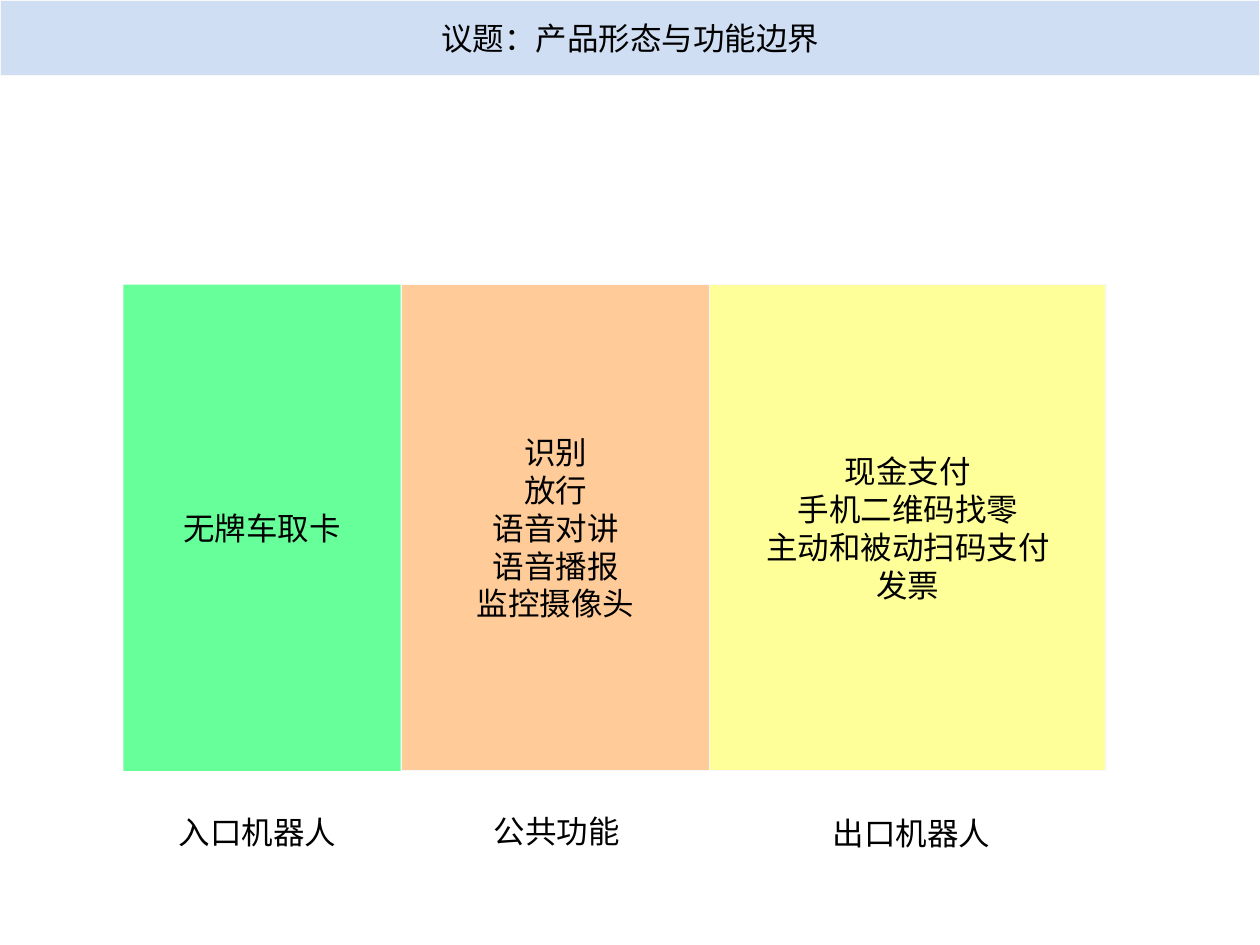
"""Build a slide on product forms and functional boundaries."""
import pptx
import pptx.dml.color
import pptx.enum.shapes
import pptx.enum.text
import pptx.util

Cm = pptx.util.Cm
RGBColor = pptx.dml.color.RGBColor
Align = pptx.enum.text.PP_ALIGN
Anchor = pptx.enum.text.MSO_ANCHOR
AutoSize = pptx.enum.text.MSO_AUTO_SIZE

BLACK = RGBColor(0x00, 0x00, 0x00)
BORDER = RGBColor(0xF8, 0xF8, 0xF8)
BLUE = RGBColor(0xCF, 0xDE, 0xF3)
GREEN = RGBColor(0x66, 0xFF, 0x99)
ORANGE = RGBColor(0xFF, 0xCC, 0x99)
YELLOW = RGBColor(0xFF, 0xFF, 0x99)

TITLE = "议题：产品形态与功能边界"
COLUMNS = [
    {"features": ["无牌车取卡"], "color": GREEN, "border": None,
     "left": 2.49, "width": 5.59,
     "label": "入口机器人", "label_at": (3.35, 16.26, 4.14)},
    {"features": ["识别", "放行", "语音对讲", "语音播报", "监控摄像头"],
     "color": ORANGE, "border": BORDER, "left": 8.1, "width": 6.2,
     "label": "公共功能", "label_at": (9.7, 16.23, 3.96)},
    {"features": ["现金支付", "手机二维码找零", "主动和被动扫码支付", "发票"],
     "color": YELLOW, "border": BORDER, "left": 14.3, "width": 8,
     "label": "出口机器人", "label_at": (16.54, 16.28, 4.14)},
]
COLUMN_TOP, COLUMN_HEIGHT, LABEL_HEIGHT = 5.74, 9.8, 1.02


def write(box, lines, alignment, anchor, wrap, auto_size):
    frame = box.text_frame
    frame.auto_size = auto_size
    frame.word_wrap = wrap
    frame.vertical_anchor = anchor
    frame.margin_left = frame.margin_right = Cm(0.25)
    frame.margin_top = frame.margin_bottom = Cm(0.13)
    for index, line in enumerate(lines):
        para = frame.add_paragraph() if index else frame.paragraphs[0]
        para.alignment = alignment
        span = para.add_run()
        span.text = line
        span.font.size = pptx.util.Pt(18)
        span.font.name = "Arial"
        span.font.color.rgb = BLACK


def paint_block(box, lines, color, border):
    box.fill.solid()
    box.fill.fore_color.rgb = color
    if border is None:
        box.line.fill.background()
    else:
        box.line.color.rgb = border
        box.line.width = pptx.util.Pt(0.75)
    write(box, lines, Align.CENTER, Anchor.MIDDLE, False, AutoSize.NONE)


def add_column(page, column):
    box = page.shapes.add_shape(
        pptx.enum.shapes.MSO_SHAPE.RECTANGLE, Cm(column["left"]),
        Cm(COLUMN_TOP), Cm(column["width"]), Cm(COLUMN_HEIGHT))
    box.shadow.inherit = False
    paint_block(box, column["features"], column["color"], column["border"])


def add_label(page, column):
    left, top, width = column["label_at"]
    box = page.shapes.add_textbox(Cm(left), Cm(top), Cm(width), Cm(LABEL_HEIGHT))
    write(box, [column["label"]], Align.LEFT, Anchor.TOP, True,
          AutoSize.SHAPE_TO_FIT_TEXT)


def main():
    deck = pptx.Presentation()
    deck.slide_width, deck.slide_height = Cm(25.4), Cm(19.05)
    page = deck.slides.add_slide(deck.slide_layouts.get_by_name("Title Only"))
    title = page.shapes.title
    title.left, title.top = Cm(0), Cm(0)
    title.width, title.height = deck.slide_width, Cm(1.52)
    paint_block(title, [TITLE], BLUE, BORDER)
    for column in COLUMNS:
        add_column(page, column)
    for column in COLUMNS:
        add_label(page, column)
    deck.save("out.pptx")


if __name__ == "__main__":
    main()
